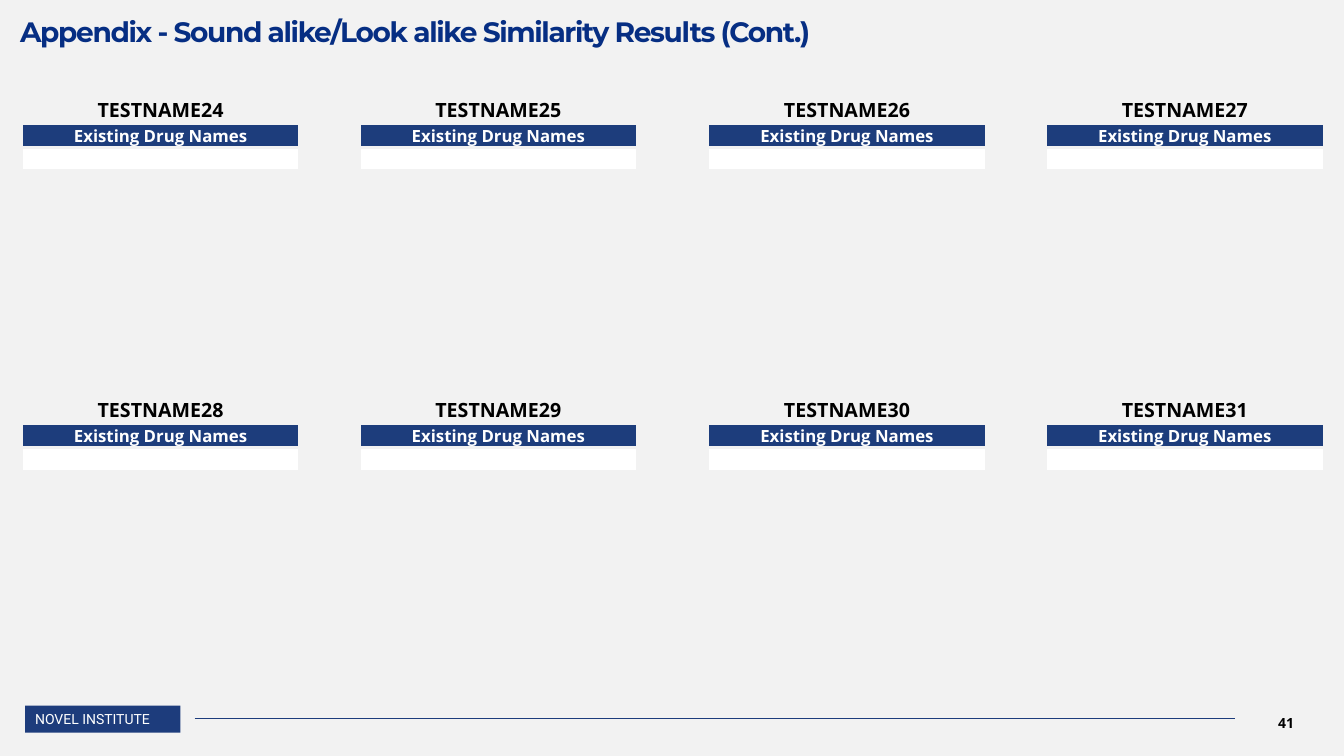
from dataclasses import dataclass

from lxml.etree import SubElement
from pptx import Presentation
from pptx.dml.color import RGBColor
from pptx.enum.shapes import MSO_CONNECTOR, MSO_SHAPE
from pptx.enum.text import MSO_ANCHOR, PP_ALIGN
from pptx.oxml import parse_xml
from pptx.oxml.ns import nsdecls, qn
from pptx.util import Pt


@dataclass(frozen=True)
class Theme:
    page: str = "F2F2F2"
    title: str = "062E83"
    navy: str = "1D3C7C"
    head: str = "1D3D7C"
    white: str = "FFFFFF"
    black: str = "000000"
    large: int = 20
    name: int = 14
    label: int = 12
    small: int = 10
    sans: str = "Open Sans"
    display: str = "Montserrat"
    brand: str = "Roboto"


THEME = Theme()


def paint(fill, color):
    fill.solid()
    fill.fore_color.rgb = RGBColor.from_string(color)


def write(frame, text, face, size, color, bold=False, align=PP_ALIGN.LEFT):
    para = frame.paragraphs[0]
    para.text = text
    para.alignment = align
    font = para.font
    font.name, font.size, font.bold = face, Pt(size), bold
    font.color.rgb = RGBColor.from_string(color)
    return para


def pad(part, left, top, right, bottom):
    part.margin_left, part.margin_top = Pt(left), Pt(top)
    part.margin_right, part.margin_bottom = Pt(right), Pt(bottom)


def edge(cell):
    """Give a cell 3 pt borders in the page colour."""
    props = cell._tc.get_or_add_tcPr()
    for side in ("lnL", "lnR", "lnT", "lnB"):
        props.append(parse_xml(
            f'<a:{side} {nsdecls("a")} w="{Pt(3)}"><a:solidFill>'
            f'<a:srgbClr val="{THEME.page}"/></a:solidFill></a:{side}>'))


def add_title(slide, left, top, width, height):
    frame = slide.shapes.add_textbox(Pt(left), Pt(top), Pt(width), Pt(height)).text_frame
    frame.word_wrap = True
    pad(frame, 0, 15.1, 0, 0)
    para = write(frame, "Appendix - Sound alike/Look alike Similarity Results (Cont.)",
                 THEME.display, THEME.large, THEME.title, True)
    para.line_spacing = 0.8
    para.runs[0]._r.get_or_add_rPr().set("spc", "-100")


def add_card(slide, name, left, top, width):
    """Add one test name's table, with an empty row for its matches."""
    rows = (19.8, 17.1, 17.1)
    table = slide.shapes.add_table(3, 1, Pt(left), Pt(top), Pt(width), Pt(sum(rows))).table
    table.first_row = table.horz_banding = False
    table.columns[0].width = Pt(width)
    texts = (name, "Existing Drug Names", "")
    sizes = (THEME.name, THEME.label, THEME.small)
    inks = (THEME.black, THEME.white, THEME.black)
    fills = (None, THEME.head, THEME.white)
    for i, (high, text, size, ink, fill) in enumerate(zip(rows, texts, sizes, inks, fills)):
        table.rows[i].height = Pt(high)
        cell = table.cell(i, 0)
        cell.vertical_anchor = MSO_ANCHOR.MIDDLE
        pad(cell, 0.7, 0.7, 0.7, 0)
        edge(cell)
        if fill:
            paint(cell.fill, fill)
        else:
            cell.fill.background()
        para = write(cell.text_frame, text, THEME.sans, size, ink, True, PP_ALIGN.CENTER)
        if not text:
            SubElement(para._p, qn("a:endParaRPr"), sz=str(size * 100))


def add_grid(slide, left, top):
    """Place eight cards in two rows, each row made of two pairs."""
    for i in range(8):
        row, col = divmod(i, 4)
        pair, side = divmod(col, 2)
        add_card(slide, f"TESTNAME{24 + i}", left + 490.3 * pair + 241.3 * side,
                 top + 214.4 * row, 199.3)


def add_footer(slide, left, top):
    shapes = slide.shapes
    badge = shapes.add_shape(MSO_SHAPE.RECTANGLE, Pt(left), Pt(top), Pt(110.9), Pt(19.4))
    badge.shadow.inherit = False
    paint(badge.fill, THEME.navy)
    badge.line.fill.background()
    frame = badge.text_frame
    frame.word_wrap = False
    frame.vertical_anchor = MSO_ANCHOR.TOP
    write(frame, "NOVEL INSTITUTE", THEME.brand, THEME.small, THEME.white)

    level = Pt(top + 8.9)
    rule = shapes.add_connector(MSO_CONNECTOR.STRAIGHT, Pt(left + 121), level,
                                Pt(left + 864.5), level)
    rule.line.width = Pt(0.5)
    paint(rule.line.fill, THEME.navy)
    SubElement(rule._element.spPr, qn("a:effectLst"))

    frame = shapes.add_textbox(Pt(left + 861.1), Pt(top - 2.1), Pt(79.2), Pt(28.8)).text_frame
    frame.word_wrap = True
    frame.vertical_anchor = MSO_ANCHOR.MIDDLE
    write(frame, "41", THEME.sans, THEME.small, THEME.black, True, PP_ALIGN.CENTER)


def main():
    deck = Presentation()
    deck.slide_width, deck.slide_height = Pt(960), Pt(540)
    slide = deck.slides.add_slide(deck.slide_layouts[6])
    paint(slide.background.fill, THEME.page)
    add_footer(slide, 18, 504)
    add_title(slide, 14.4, 0, 923, 34.6)
    add_grid(slide, 15.1, 68.4)
    deck.save("out.pptx")


if __name__ == "__main__":
    main()
